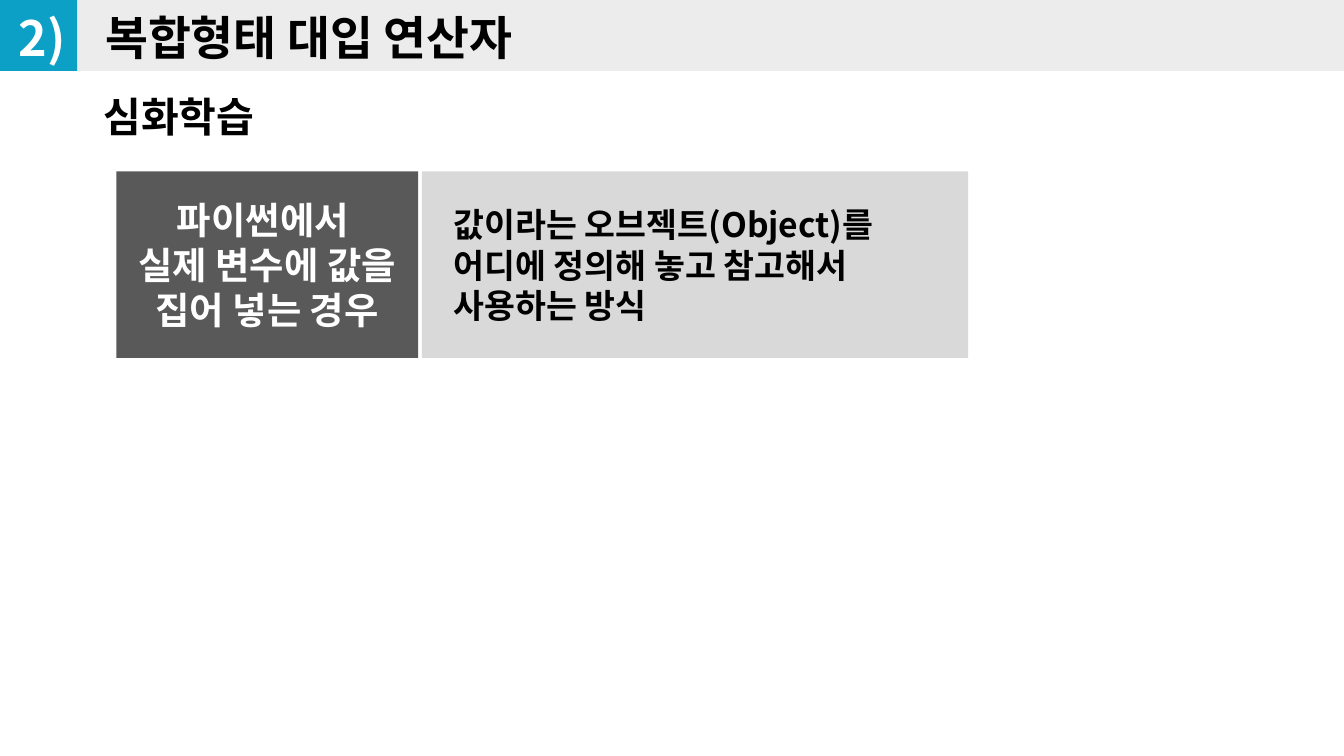
from lxml import etree
from pptx import Presentation
from pptx.dml.color import RGBColor
from pptx.enum.shapes import MSO_SHAPE
from pptx.enum.text import MSO_ANCHOR, PP_ALIGN
from pptx.oxml.ns import qn
from pptx.util import Pt

RECTANGLE = MSO_SHAPE.RECTANGLE
TOP, MIDDLE = MSO_ANCHOR.TOP, MSO_ANCHOR.MIDDLE
LEFT, CENTER = PP_ALIGN.LEFT, PP_ALIGN.CENTER

BLACK, WHITE = "000000", "FFFFFF"
PALE_GREY, LIGHT_GREY, DARK_GREY = "ECECEC", "D9D9D9", "595959"
BLUE = "0CA0C7"


def colour(value):
    return RGBColor.from_string(value)


class SlideBuilder:
    font = "Noto Sans CJK KR"

    def __init__(self, page):
        self.page = page

    def set_text(self, shape, text, size, ink, align, anchor, margins):
        """Put bold text into a shape; margins are (side, top and bottom)."""
        frame = shape.text_frame
        frame.word_wrap = True
        frame.vertical_anchor = anchor
        frame.margin_left = frame.margin_right = Pt(margins[0])
        frame.margin_top = frame.margin_bottom = Pt(margins[1])
        frame.text = text
        for para in frame.paragraphs:
            para.alignment = align
            for span in para.runs:
                span.font.size = Pt(size)
                span.font.bold = True
                span.font.name = self.font
                span.font.color.rgb = colour(ink)
                # Korean glyphs take the East Asian typeface
                east_asian = etree.SubElement(span.font._element, qn("a:ea"))
                east_asian.set("typeface", self.font)

    def block(self, left, top, width, height, fill):
        shape = self.page.shapes.add_shape(
            RECTANGLE, Pt(left), Pt(top), Pt(width), Pt(height))
        shape.shadow.inherit = False
        shape.fill.solid()
        shape.fill.fore_color.rgb = colour(fill)
        shape.line.fill.background()
        return shape

    def text_block(self, left, top, width, height, fill, text, size, ink,
                   align, margins):
        shape = self.block(left, top, width, height, fill)
        self.set_text(shape, text, size, ink, align, MIDDLE, margins)

    def label(self, left, top, width, height, text, size, ink=BLACK, align=LEFT):
        box = self.page.shapes.add_textbox(
            Pt(left), Pt(top), Pt(width), Pt(height))
        self.set_text(box, text, size, ink, align, TOP, (10, 5))


def main():
    deck = Presentation()
    deck.slide_width, deck.slide_height = Pt(720), Pt(405)
    builder = SlideBuilder(deck.slides.add_slide(deck.slide_layouts[6]))

    # Header band with section number
    number_width, band_height = 41.3, 38
    builder.block(number_width, 0, 720 - number_width, band_height, PALE_GREY)
    builder.block(0, 0, number_width, band_height, BLUE)
    builder.label(46.4, 0, 642, 40, "복합형태 대입 연산자", 25)
    builder.label(-1, -0.5, 47.5, 42, "2)", 26, WHITE, CENTER)

    # Subheading
    builder.label(45.5, 44, 473, 37, "심화학습", 22)

    # Situation and its explanation, side by side
    top, height, gap = 91.8, 100, 2
    left, term_width, meaning_width = 62.3, 161.7, 292.7
    builder.text_block(left, top, term_width, height, DARK_GREY,
                       "파이썬에서 \v실제 변수에 값을 집어 넣는 경우",
                       20, WHITE, CENTER, (7.2, 3.6))
    builder.text_block(left + term_width + gap, top, meaning_width, height,
                       LIGHT_GREY,
                       "값이라는 오브젝트(Object)를 어디에 정의해 놓고 참고해서 사용하는 방식",
                       18, BLACK, LEFT, (17, 3.6))

    deck.save("out.pptx")


if __name__ == "__main__":
    main()
